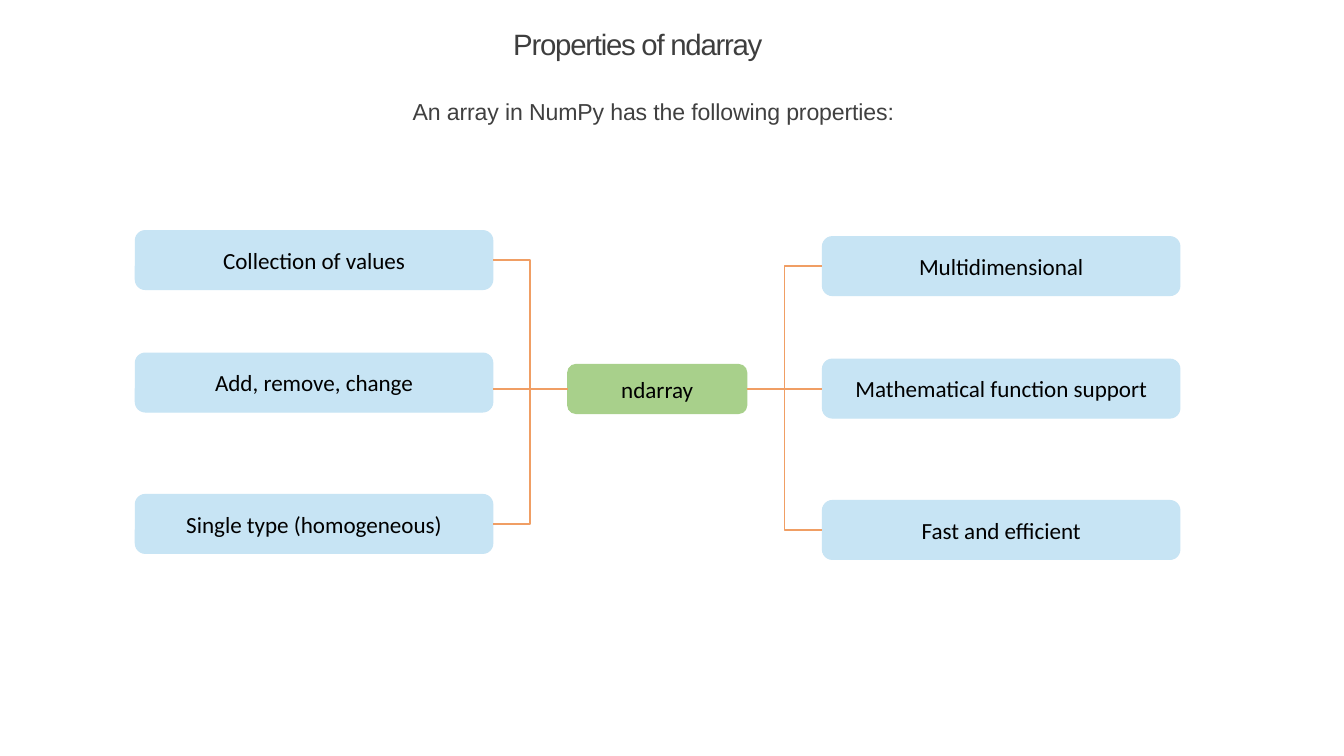
from pptx import Presentation
from pptx.dml.color import RGBColor
from pptx.enum.shapes import MSO_CONNECTOR, MSO_SHAPE
from pptx.enum.text import MSO_ANCHOR, PP_ALIGN
from pptx.oxml.ns import qn
from pptx.util import Inches, Pt
from lxml import etree

ROUNDED = MSO_SHAPE.ROUNDED_RECTANGLE
STRAIGHT = MSO_CONNECTOR.STRAIGHT
MIDDLE = MSO_ANCHOR.MIDDLE
CENTER, LEFT = PP_ALIGN.CENTER, PP_ALIGN.LEFT

COLORS = {
    "title": "3E3E3E",
    "subtitle": "404040",
    "label": "000000",
    "hub": "A8D08B",
    "property": "C7E4F4",
    "line": "F09E64",
}

# Boxes are left, top, width, height in inches
TITLE_BOX = (6.79, 0.33, 3.66, 0.49)
SUBTITLE_BOX = (5.46, 1.28, 6.7, 0.39)
HUB_BOX = (7.51, 4.82, 2.37, 0.65)
LEFT_COLUMN = (1.79, 3.05, 4.73, 4.27)
RIGHT_COLUMN = (10.88, 3.13, 4.73, 4.27)

PROPERTY_HEIGHT = 0.78
PROPERTY_OFFSETS = (0, 1.62, 3.49)
LEFT_PROPERTIES = ("Collection of values", "Add, remove, change",
                   "Single type (homogeneous)")
RIGHT_PROPERTIES = ("Multidimensional", "Mathematical function support",
                    "Fast and efficient")


def color(name):
    return RGBColor.from_string(COLORS[name])


def set_text(shape, text, size, font, color_name, alignment, spacing=0):
    """Fill a shape with one line of text; spacing is in points."""
    frame = shape.text_frame
    frame.text = text
    frame.word_wrap = True
    frame.vertical_anchor = MIDDLE
    frame.margin_left = frame.margin_right = 0
    frame.margin_top = frame.margin_bottom = 0
    paragraph = frame.paragraphs[0]
    paragraph.alignment = alignment
    run = paragraph.runs[0]
    run.font.size = Pt(size)
    run.font.name = font
    run.font.color.rgb = color(color_name)
    if spacing:
        run._r.get_or_add_rPr().set("spc", str(round(spacing * 100)))


def add_heading(slide, box, text, size, color_name, spacing):
    text_box = slide.shapes.add_textbox(*map(Inches, box))
    set_text(text_box, text, size, "Arial", color_name, LEFT, spacing)


def add_node(slide, box, text, fill):
    node = slide.shapes.add_shape(ROUNDED, *map(Inches, box))
    node.shadow.inherit = False
    node.adjustments[0] = 0.17
    node.fill.solid()
    node.fill.fore_color.rgb = color(fill)
    node.line.color.rgb = color(fill)
    node.line.width = Pt(1)
    set_text(node, text, 22, "Calibri", "label", CENTER)


def style_line(shape):
    shape.line.color.rgb = color("line")
    shape.line.width = Pt(1.5)


def add_straight(slide, start, end):
    connector = slide.shapes.add_connector(
        STRAIGHT, *map(Inches, (*start, *end)))
    style_line(connector)
    etree.SubElement(connector._element.spPr, qn("a:effectLst"))


def add_elbow(slide, start, end):
    """Draw a line that turns halfway between start and end."""
    middle = (start[0] + end[0]) / 2
    points = [start, (middle, start[1]), (middle, end[1]), end]
    points = [(Inches(x), Inches(y)) for x, y in points]
    builder = slide.shapes.build_freeform(*points[0])
    builder.add_line_segments(points[1:], close=False)
    elbow = builder.convert_to_shape()
    elbow.shadow.inherit = False
    elbow.fill.background()
    style_line(elbow)


def add_branch(slide, box, labels, hub_point, edge):
    """Stack property boxes in a column and join each to the hub."""
    left, top, width, _ = box
    for index, (label, offset) in enumerate(zip(labels, PROPERTY_OFFSETS)):
        node_top = top + offset
        add_node(slide, (left, node_top, width, PROPERTY_HEIGHT),
                 label, "property")
        if index == 1:
            add_straight(slide, hub_point, (edge, hub_point[1]))
        else:
            add_elbow(slide, hub_point,
                      (edge, node_top + PROPERTY_HEIGHT / 2))


def add_diagram(slide, hub_box, left_column, right_column):
    left, top, width, height = hub_box
    center = top + height / 2
    add_node(slide, hub_box, "ndarray", "hub")
    add_branch(slide, right_column, RIGHT_PROPERTIES,
               (left + width, center), right_column[0])
    add_branch(slide, left_column, LEFT_PROPERTIES,
               (left, center), left_column[0] + left_column[2])


def main():
    presentation = Presentation()
    presentation.slide_width = Inches(17.78)
    presentation.slide_height = Inches(10)
    slide = presentation.slides.add_slide(presentation.slide_layouts[6])

    # Headings
    add_heading(slide, TITLE_BOX, "Properties of ndarray", 28, "title", -1.2)
    add_heading(slide, SUBTITLE_BOX,
                "An array in NumPy has the following properties:",
                22, "subtitle", -0.1)

    # Hub with its two columns of properties
    add_diagram(slide, HUB_BOX, LEFT_COLUMN, RIGHT_COLUMN)
    presentation.save("out.pptx")


if __name__ == "__main__":
    main()
